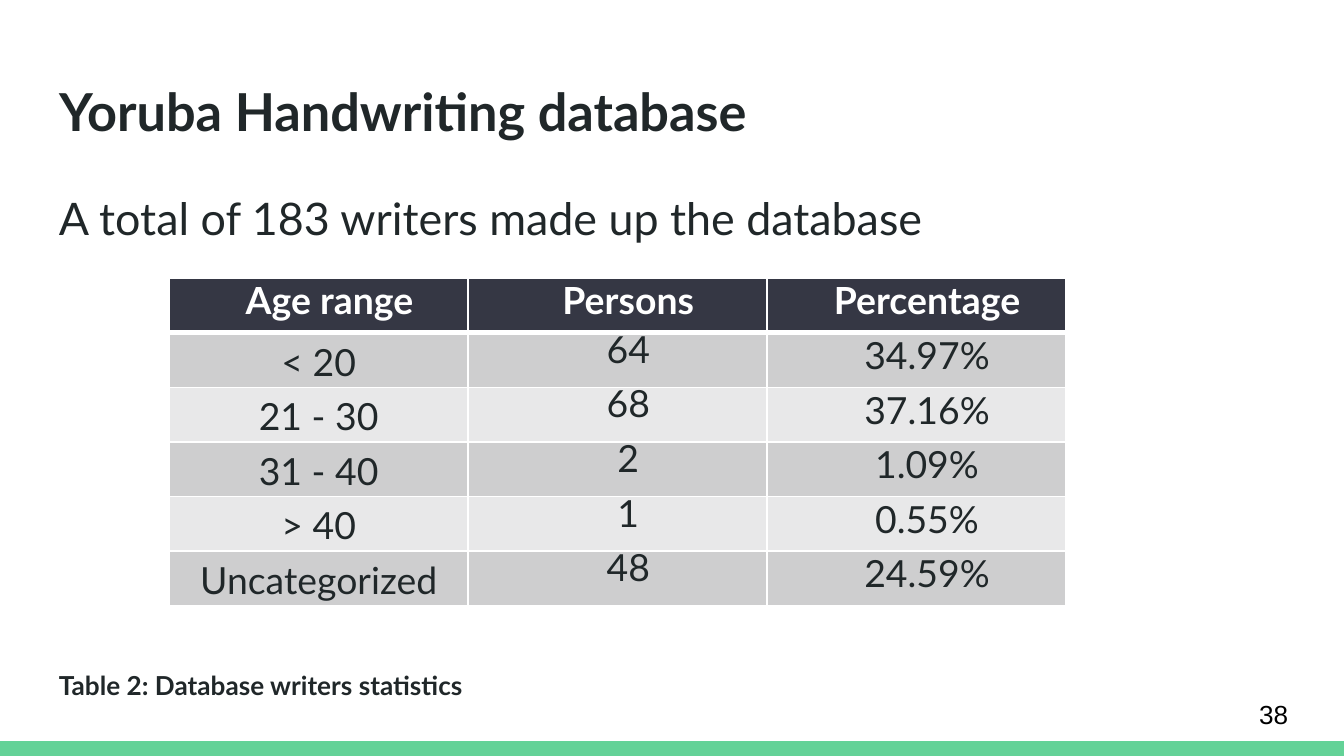
import pptx
import pptx.util
import pptx.dml.color
import pptx.enum.shapes
import pptx.enum.text
import pptx.oxml

WIDTH = 10
HEIGHT = WIDTH * 9 / 16
MARGIN = 0.34
COLORS = {
    "ink": "202729",
    "white": "FFFFFF",
    "black": "000000",
    "accent": "63D297",
    "header": "353744",
    "odd": "CECECF",
    "even": "E8E8E9",
}
ROWS = [
    ("Age range", "Persons", "Percentage"),
    ("< 20", "64", "34.97%"),
    ("21 - 30", "68", "37.16%"),
    ("31 - 40", "2", "1.09%"),
    ("> 40", "1", "0.55%"),
    ("Uncategorized", "48", "24.59%"),
]
INCH = pptx.util.Inches
ANCHOR = pptx.enum.text.MSO_ANCHOR
ALIGN = pptx.enum.text.PP_ALIGN


def color(name):
    return pptx.dml.color.RGBColor.from_string(COLORS[name])


def add_run(paragraph, text, size, name="ink", bold=False, font="Lato"):
    run = paragraph.add_run()
    run.text = text
    run.font.name = font
    run.font.size = pptx.util.Pt(size)
    run.font.bold = bold
    run.font.color.rgb = color(name)


def format_frame(frame, anchor):
    frame.word_wrap = True
    frame.auto_size = pptx.enum.text.MSO_AUTO_SIZE.NONE
    frame.vertical_anchor = anchor
    frame.margin_left = frame.margin_right = INCH(0.1)
    frame.margin_top = frame.margin_bottom = INCH(0.1)
    frame.paragraphs[0].alignment = ALIGN.LEFT
    return frame.paragraphs[0]


def place_title(slide, box, text):
    title = slide.shapes.title
    title.left, title.top, title.width, title.height = map(INCH, box)
    add_run(format_frame(title.text_frame, ANCHOR.TOP), text, 28, bold=True)


def add_text(slide, box, text, size, anchor=ANCHOR.MIDDLE, **style):
    shape = slide.shapes.add_textbox(*map(INCH, box))
    paragraph = format_frame(shape.text_frame, anchor)
    add_run(paragraph, text, size, **style)
    return paragraph


def add_footer_bar(slide, box):
    bar = slide.shapes.add_shape(
        pptx.enum.shapes.MSO_SHAPE.RECTANGLE, *map(INCH, box))
    bar.shadow.inherit = False
    bar.fill.solid()
    bar.fill.fore_color.rgb = color("accent")
    bar.line.fill.background()


def set_borders(cell, widths):
    """Draw white cell borders; widths maps a side (L, R, T, B) to points."""
    properties = cell._tc.get_or_add_tcPr()
    for side, width in widths.items():
        properties.append(pptx.oxml.parse_xml(
            f'<a:ln{side} xmlns:a="http://schemas.openxmlformats.org/drawingml/2006/main"'
            f' w="{pptx.util.Pt(width)}"><a:solidFill><a:srgbClr val="{COLORS["white"]}"/>'
            f'</a:solidFill></a:ln{side}>'))


def format_cell(cell, text, row, column):
    header = row == 0
    top_aligned = header or column == 2
    set_borders(cell, {"L": 1, "R": 1, "T": 3 if row == 1 else 1, "B": 3 if header else 1})
    cell.fill.solid()
    cell.fill.fore_color.rgb = color("header" if header else "odd" if row % 2 else "even")
    cell.margin_left = cell.margin_right = INCH(0.05)
    cell.margin_top = pptx.util.Pt(12 if top_aligned else 0)
    cell.margin_bottom = 0
    cell.vertical_anchor = ANCHOR.TOP if top_aligned else ANCHOR.MIDDLE

    paragraph = cell.text_frame.paragraphs[0]
    paragraph.alignment = ALIGN.CENTER
    if header or column > 0:
        paragraph.line_spacing = pptx.util.Pt(12)
        paragraph._p.get_or_add_pPr().set("indent", str(INCH(0.16)))
    else:
        paragraph.line_spacing = 1.07
    add_run(paragraph, text, 20, "white" if header else "ink", header)


def add_statistics_table(slide, box, rows):
    left, top, width, height = map(INCH, box)
    table = slide.shapes.add_table(
        len(rows), len(rows[0]), left, top, width, height).table
    for row, texts in enumerate(rows):
        for column, text in enumerate(texts):
            format_cell(table.cell(row, column), text, row, column)


def main():
    presentation = pptx.Presentation()
    presentation.slide_width = INCH(WIDTH)
    presentation.slide_height = INCH(HEIGHT)
    slide = presentation.slides.add_slide(presentation.slide_layouts[5])
    content_width = WIDTH - 2 * MARGIN

    add_footer_bar(slide, (0, HEIGHT - 0.11, WIDTH, 0.11))
    place_title(slide, (MARGIN, 0.49, content_width, 0.63), "Yoruba Handwriting database")
    body = add_text(slide, (MARGIN, 1.26, content_width, 3.74),
                    "A total of 183 writers made up the database", 24, ANCHOR.TOP)
    body.line_spacing = 1.15
    body.space_after = pptx.util.Pt(16)
    add_text(slide, (9.27, 5.1, 0.6, 0.43), "38", 14, name="black", font="Arial")
    add_statistics_table(slide, (1.26, 2.07, 6.67, 2.44), ROWS)
    add_text(slide, (MARGIN, 4.94, 6.8, 0.31),
             "Table 2: Database writers statistics", 14, bold=True)
    presentation.save("out.pptx")


if __name__ == "__main__":
    main()
